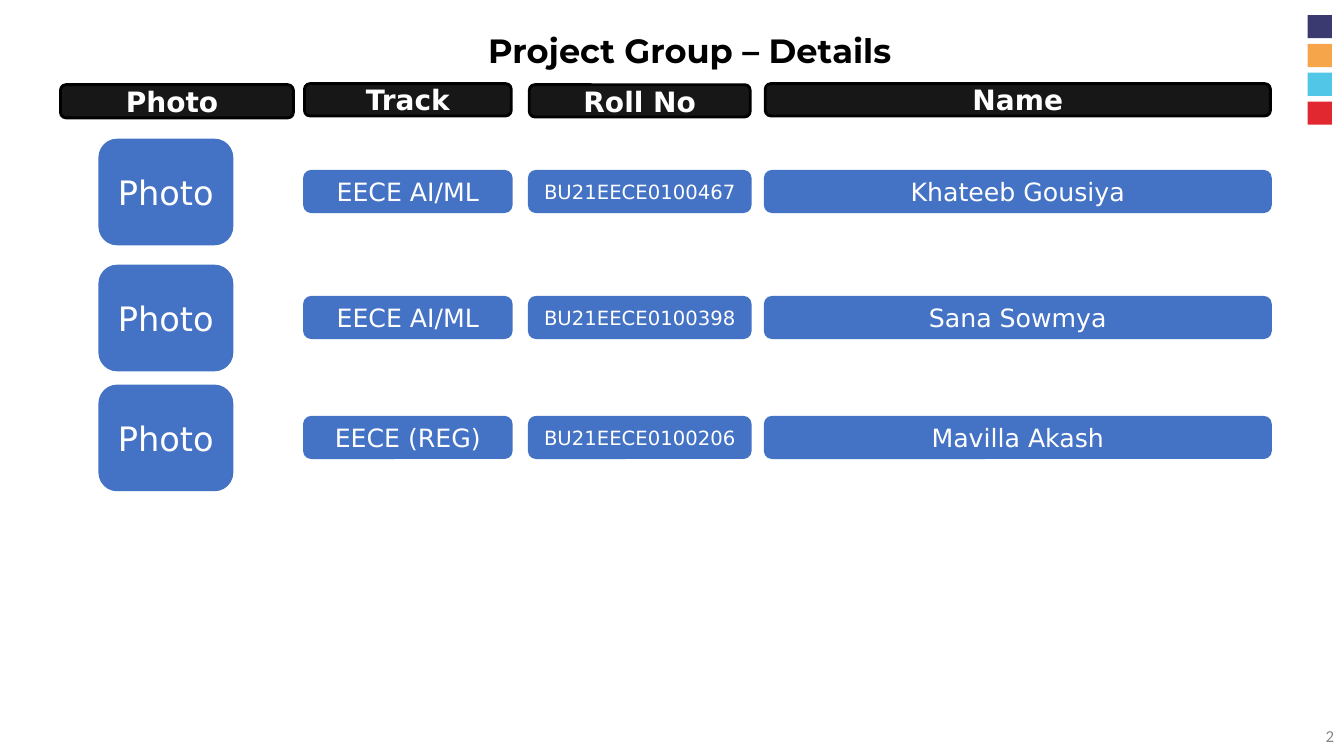
from pptx import Presentation
from pptx.dml.color import RGBColor
from pptx.enum.shapes import MSO_SHAPE
from pptx.enum.text import MSO_ANCHOR, MSO_AUTO_SIZE, PP_ALIGN
from pptx.util import Inches, Pt

BLACK = RGBColor(0x00, 0x00, 0x00)
WHITE = RGBColor(0xFF, 0xFF, 0xFF)
GRAY = RGBColor(0x88, 0x88, 0x88)
HEADER_FILL = RGBColor(0x18, 0x17, 0x17)
BLUE = RGBColor(0x44, 0x72, 0xC4)
NAVY = RGBColor(0x3A, 0x3A, 0x70)
ORANGE = RGBColor(0xF7, 0xA5, 0x4B)
CYAN = RGBColor(0x51, 0xC6, 0xE7)
RED = RGBColor(0xE1, 0x27, 0x30)

BODY_FONT = "DejaVu Sans"

HEADERS = [
    ("Photo ", 0.6, 0.84, 2.31, 0.33),
    ("Track", 3.02, 0.83, 2.05, 0.32),
    ("Roll No", 5.25, 0.84, 2.19, 0.32),
    ("Name", 7.59, 0.83, 5.01, 0.32),
]
MEMBER_COLUMNS = [(3.02, 2.05, 18), (5.25, 2.19, 14), (7.59, 5.01, 18)]
MEMBERS = [
    (1.39, ("EECE AI/ML", "BU21EECE0100467", "Khateeb Gousiya")),
    (2.64, ("EECE AI/ML", "BU21EECE0100398", "Sana Sowmya")),
    (3.83, ("EECE (REG)", "BU21EECE0100206", "Mavilla Akash")),
]


def write_text(shape, text, font_name, size, color, bold=False,
               align=PP_ALIGN.CENTER, anchor=MSO_ANCHOR.MIDDLE):
    frame = shape.text_frame
    frame.text = text
    frame.word_wrap = True
    frame.auto_size = MSO_AUTO_SIZE.NONE
    frame.vertical_anchor = anchor
    para = frame.paragraphs[0]
    para.alignment = align
    font = para.runs[0].font
    font.name = font_name
    font.size = Pt(size)
    font.bold = bold
    font.color.rgb = color


def add_filled_shape(page, kind, left, top, width, height, fill):
    shape = page.shapes.add_shape(
        kind, Inches(left), Inches(top), Inches(width), Inches(height))
    shape.shadow.inherit = False
    shape.fill.solid()
    shape.fill.fore_color.rgb = fill
    return shape


def add_label(page, text, left, top, width, height, size,
              fill=BLUE, line=BLUE, bold=False):
    label = add_filled_shape(
        page, MSO_SHAPE.ROUNDED_RECTANGLE, left, top, width, height, fill)
    label.line.color.rgb = line
    label.line.width = Pt(2)
    write_text(label, text, BODY_FONT, size, WHITE, bold)


def add_color_squares(page):
    for index, color in enumerate((NAVY, ORANGE, CYAN, RED)):
        square = add_filled_shape(
            page, MSO_SHAPE.RECTANGLE, 12.97, 0.15 + index * 0.286,
            0.24, 0.23, color)
        square.line.fill.background()


def add_title(page, text):
    title = page.shapes.title
    title.left, title.top = Inches(1.09), Inches(0.25)
    title.width, title.height = Inches(11.5), Inches(0.54)
    write_text(title, text, "Montserrat", 24, BLACK, bold=True,
               anchor=MSO_ANCHOR.TOP)


def add_member(page, top, details):
    add_label(page, "Photo", 0.99, top, 1.31, 1.03, 24)
    for text, (left, width, size) in zip(details, MEMBER_COLUMNS):
        add_label(page, text, left, top + 0.31, width, 0.4, size)


def add_page_number(page, number):
    box = page.shapes.add_textbox(
        Inches(10.33), Inches(7.1), Inches(3), Inches(0.4))
    write_text(box, number, "Calibri", 12, GRAY, align=PP_ALIGN.RIGHT)


def main():
    deck = Presentation()
    deck.slide_width, deck.slide_height = Inches(13.33), Inches(7.5)
    page = deck.slides.add_slide(deck.slide_layouts[5])
    add_color_squares(page)
    add_title(page, "Project Group – Details")
    for text, left, top, width, height in HEADERS:
        add_label(page, text, left, top, width, height, 20,
                  fill=HEADER_FILL, line=BLACK, bold=True)
    for top, details in MEMBERS:
        add_member(page, top, details)
    add_page_number(page, "2")
    deck.save("out.pptx")


if __name__ == "__main__":
    main()
